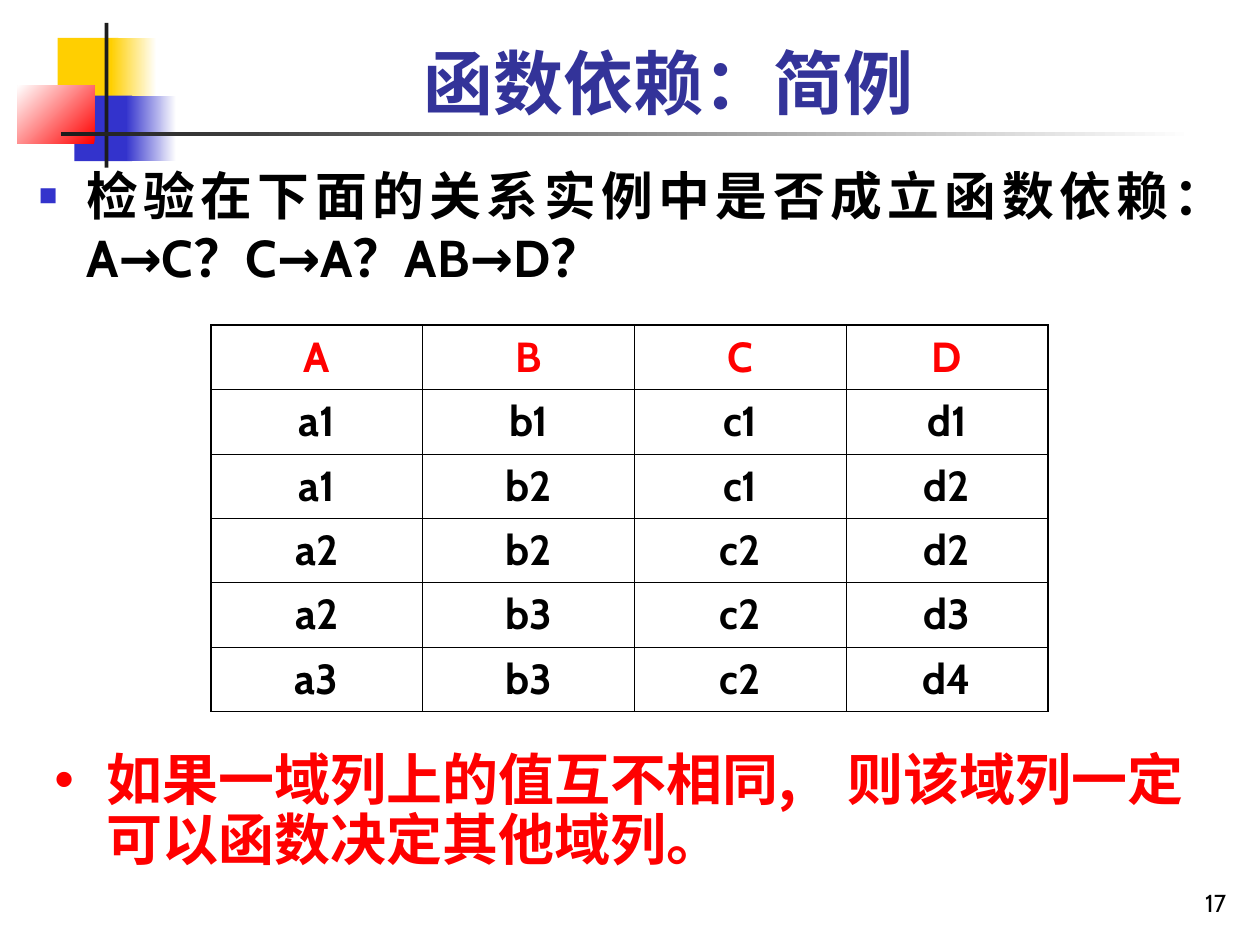
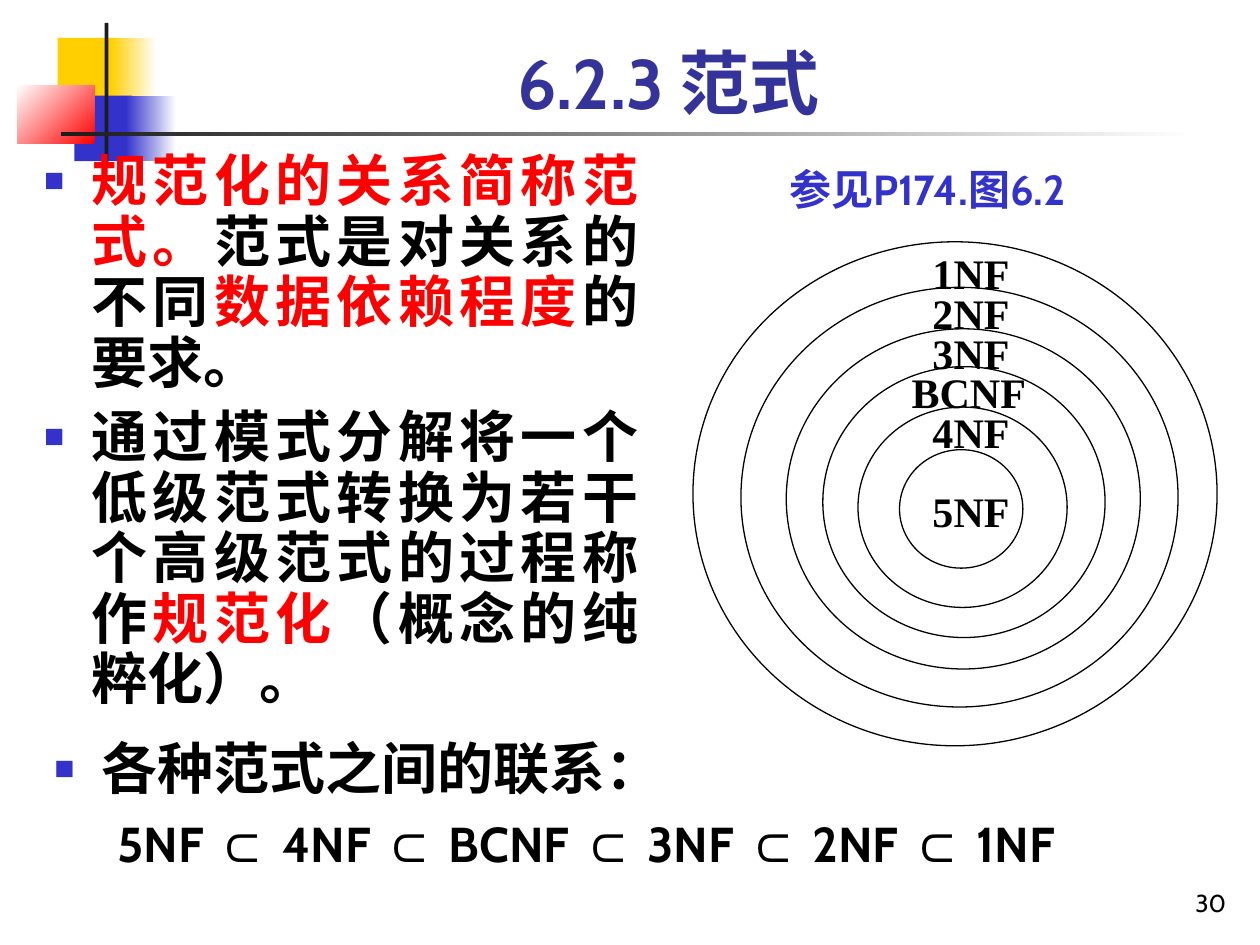
import pptx
import pptx.dml.color
import pptx.enum.shapes
import pptx.enum.text
import pptx.oxml.ns
import pptx.util
from lxml import etree

Pt = pptx.util.Pt
ALIGN = pptx.enum.text.PP_ALIGN
ANCHOR = pptx.enum.text.MSO_ANCHOR
PRESET = pptx.enum.shapes.MSO_SHAPE

COLORS = {
    "title": "333399", "blue": "3333CC", "yellow": "FFCF01", "red": "FF0000",
    "dark": "1C1C1C", "black": "000000", "white": "FFFFFF",
}
MAIN_FONT = "Cabin"
SERIF = "Times New Roman"

# left, top, width, height, colours from start to end, gradient angle
ORNAMENTS = [
    (33, 21.6, 34.6, 37.4, ["yellow"], None),
    (63.4, 21.6, 26, 37.4, ["white", "yellow"], 180),
    (42.5, 54.7, 33.1, 37.4, ["blue"], None),
    (72, 54.7, 28.8, 37.4, ["white", "blue"], 180),
    (10, 49, 44, 33.1, ["red", "white"], 135),
    (59.8, 13, 2.2, 82.8, ["dark"], None),
    (34.6, 75.6, 648, 2.2, ["white", "dark"], 180),
]
TITLE_BOX = (54, 12.2, 656, 62)
NUMBER_BOX = (558, 491.8, 149.8, 36)

SQUARE = {"char": "■", "color": "blue", "percent": 60}
DOT = {"char": "•", "color": "red", "percent": 100}

# A run is (text, options); a paragraph is (options, runs).
QUESTION_BOX = (15, 90, 693.4, 84)
QUESTION = [
    (dict(bullet=SQUARE, align=ALIGN.JUSTIFY, indent=(27, -27)),
     [("检验在下面的关系实例中是否成立函数依赖：A→C？C→A？AB→D？", dict(size=29.6))]),
]
RELATION = [
    ["A", "B", "C", "D"],
    ["a1", "b1", "c1", "d1"],
    ["a1", "b2", "c1", "d2"],
    ["a2", "b2", "c2", "d2"],
    ["a2", "b3", "c2", "d3"],
    ["a3", "b3", "c2", "d4"],
]
RELATION_AT = (120.5, 185.8)
RELATION_COLUMNS = [121, 121, 121, 115.4]
RELATION_ROW = 36.8
CONCLUSION_BOX = (24, 426, 672, 76.5)
CONCLUSION_STYLE = dict(color="red", font="Noto Sans CJK JP")
CONCLUSION = [
    (dict(bullet=DOT, indent=(29.5, -29.5), line=0.9),
     [("如果一域列上的值互不相同,", CONCLUSION_STYLE),
      (" ", dict(CONCLUSION_STYLE, spacing=21.5)),
      ("则该域列一定可以函数决定其他域列。", CONCLUSION_STYLE)]),
]

LIST_ITEM = dict(bullet=SQUARE, align=ALIGN.JUSTIFY, indent=(27, -27), line=0.9)
DEFINITIONS_BOX = (18, 84, 354, 330)
DEFINITIONS = [
    (LIST_ITEM,
     [("规范化的关系简称范式。", dict(color="red", font=SERIF)),
      ("范式是对关系的不同", {}),
      ("数据依赖程度", dict(color="red")),
      ("的要求。", {})]),
    (dict(LIST_ITEM, before=8),
     [("通过模式分解将一个低级范式转换为若干个高级范式的过程称作", {}),
      ("规范化", dict(color="red")),
      ("（概念的纯粹化）。", {})]),
]
REFERENCE_BOX = (444, 90, 210, 36)
REFERENCE = [({}, [("参见P174.图6.2", dict(size=24, color="blue"))])]

# Outermost first: label, slot of the label, label width, ellipse
FORMS = [
    ("1NF", 0, 64.8, (396, 138.2, 299.5, 288)),
    ("2NF", 1, 64.8, (423.4, 164.2, 249.8, 239.8)),
    ("3NF", 2, 64.8, (449.3, 187.9, 202.3, 194.4)),
    ("BCNF", 3, 88.6, (470.2, 209.5, 161.3, 154.8)),
    ("4NF", 4, 64.8, (490.3, 232.6, 119.5, 114.5)),
    ("5NF", 6, 64.8, (514, 257, 70.5, 67.7)),
]
LABEL_CENTER, LABEL_TOP, LABEL_STEP = 558.2, 138.2, 22.6

INCLUSION_BOX = (24, 420, 624, 90)
inclusion_runs = []
for form in reversed(FORMS):
    if inclusion_runs:
        inclusion_runs += [(" ", dict(size=28)), ("⊂", dict(font="Arial")), (" ", dict(size=28))]
    inclusion_runs.append((form[0], dict(size=28)))
INCLUSION = [
    (LIST_ITEM, [("各种范式之间的联系：", {})]),
    (dict(align=ALIGN.JUSTIFY, indent=(58.3, -22.3), line=0.9, before=7, level=1),
     inclusion_runs),
]


def rgb(name):
    return pptx.dml.color.RGBColor.from_string(COLORS[name])


def points(values):
    return [Pt(value) for value in values]


def child(parent, tag, **attributes):
    return etree.SubElement(parent, pptx.oxml.ns.qn(tag), attributes)


def add_run(paragraph, text, size=32, color="black", font=MAIN_FONT, bold=True, spacing=None):
    run = paragraph.add_run()
    run.text = text
    run.font.size = Pt(size)
    run.font.bold = bold
    run.font.color.rgb = rgb(color)
    run.font.name = font
    properties = run.font._element
    child(properties, "a:ea", typeface=MAIN_FONT)
    if spacing:
        properties.set("spc", str(round(spacing * 100)))


def format_paragraph(paragraph, bullet=None, align=ALIGN.LEFT, indent=(0, 0),
                     line=1.0, before=0, level=0):
    properties = paragraph._p.get_or_add_pPr()
    if bullet:
        color = child(properties, "a:buClr")
        child(color, "a:srgbClr", val=COLORS[bullet["color"]])
        child(properties, "a:buSzPct", val=str(bullet["percent"] * 1000))
        child(properties, "a:buFont", typeface="Arial")
        child(properties, "a:buChar", char=bullet["char"])
    else:
        child(properties, "a:buNone")
    properties.set("marL", str(Pt(indent[0])))
    properties.set("indent", str(Pt(indent[1])))
    paragraph.alignment = align
    paragraph.line_spacing = line
    paragraph.space_before = Pt(before)
    paragraph.level = level


def write(frame, paragraphs, anchor=ANCHOR.TOP):
    frame.word_wrap = True
    frame.auto_size = pptx.enum.text.MSO_AUTO_SIZE.NONE
    frame.vertical_anchor = anchor
    for index, (options, runs) in enumerate(paragraphs):
        paragraph = frame.add_paragraph() if index else frame.paragraphs[0]
        format_paragraph(paragraph, **options)
        for text, style in runs:
            add_run(paragraph, text, **style)


def add_text(shapes, box, paragraphs, anchor=ANCHOR.TOP):
    write(shapes.add_textbox(*points(box)).text_frame, paragraphs, anchor)


def fill_placeholder(placeholder, box, paragraphs, anchor=ANCHOR.TOP):
    placeholder.left, placeholder.top, placeholder.width, placeholder.height = points(box)
    write(placeholder.text_frame, paragraphs, anchor)


def put_ornaments_on_layout(slide):
    """Draw the ornaments once and hand them to the layout of the slide."""
    for index, (*box, colors, angle) in enumerate(ORNAMENTS):
        ornament = slide.shapes.add_shape(PRESET.RECTANGLE, *points(box))
        ornament.shadow.inherit = False
        ornament.line.fill.background()
        if angle is None:
            ornament.fill.solid()
            ornament.fill.fore_color.rgb = rgb(colors[0])
        else:
            ornament.fill.gradient()
            ornament.fill.gradient_angle = angle
            for stop, color in zip(ornament.fill.gradient_stops, colors):
                stop.color.rgb = rgb(color)
        ornament._element.nvSpPr.cNvPr.set("id", str(100 + index))
        slide.slide_layout.shapes._spTree.append(ornament._element)


def add_slide(deck, title, number, body_box, body):
    slide = deck.slides.add_slide(deck.slide_layouts[1])
    heading = [(dict(align=ALIGN.CENTER), [(title, dict(size=40, color="title"))])]
    fill_placeholder(slide.shapes.title, TITLE_BOX, heading, ANCHOR.BOTTOM)
    fill_placeholder(slide.placeholders[1], body_box, body)
    page = [(dict(align=ALIGN.RIGHT), [(number, dict(size=14, bold=False))])]
    add_text(slide.shapes, NUMBER_BOX, page, ANCHOR.BOTTOM)
    return slide


def draw_borders(cell, outer_sides):
    properties = cell._tc.get_or_add_tcPr()
    for side in ("L", "R", "T", "B"):
        width = 1.08 if side in outer_sides else 0.45
        border = child(properties, "a:ln" + side, w=str(Pt(width)))
        child(child(border, "a:solidFill"), "a:srgbClr", val=COLORS["black"])


def add_relation(slide):
    rows, columns = len(RELATION), len(RELATION_COLUMNS)
    size = (sum(RELATION_COLUMNS), rows * RELATION_ROW)
    relation = slide.shapes.add_table(rows, columns, *points(RELATION_AT + size)).table
    relation.first_row = relation.horz_banding = False
    for column, width in zip(relation.columns, RELATION_COLUMNS):
        column.width = Pt(width)
    for r, values in enumerate(RELATION):
        relation.rows[r].height = Pt(RELATION_ROW)
        for c, value in enumerate(values):
            cell = relation.cell(r, c)
            edges = {"L": c == 0, "R": c == columns - 1, "T": r == 0, "B": r == rows - 1}
            draw_borders(cell, [side for side, outer in edges.items() if outer])
            cell.fill.background()
            cell.vertical_anchor = ANCHOR.MIDDLE
            paragraph = cell.text_frame.paragraphs[0]
            paragraph.alignment = ALIGN.CENTER
            add_run(paragraph, value, size=24, color="black" if r else "red")


def add_nested_forms(slide):
    nest = slide.shapes.add_group_shape().shapes
    for *_, box in FORMS:
        ring = nest.add_shape(PRESET.OVAL, *points(box))
        ring.shadow.inherit = False
        ring.fill.background()
        ring.line.color.rgb = rgb("black")
        ring.line.width = Pt(0.75)
    for label, slot, width, _ in FORMS:
        box = (LABEL_CENTER - width / 2, LABEL_TOP + slot * LABEL_STEP, width, 36)
        add_text(nest, box, [({}, [(label, dict(size=24, font=SERIF))])])


def main():
    deck = pptx.Presentation()
    deck.slide_width, deck.slide_height = Pt(720), Pt(540)

    example = add_slide(deck, "函数依赖：简例", "17", QUESTION_BOX, QUESTION)
    put_ornaments_on_layout(example)
    add_relation(example)
    add_text(example.shapes, CONCLUSION_BOX, CONCLUSION)

    normal_forms = add_slide(deck, "6.2.3 范式", "30", DEFINITIONS_BOX, DEFINITIONS)
    add_nested_forms(normal_forms)
    add_text(normal_forms.shapes, REFERENCE_BOX, REFERENCE)
    add_text(normal_forms.shapes, INCLUSION_BOX, INCLUSION)

    deck.save("out.pptx")


if __name__ == "__main__":
    main()
